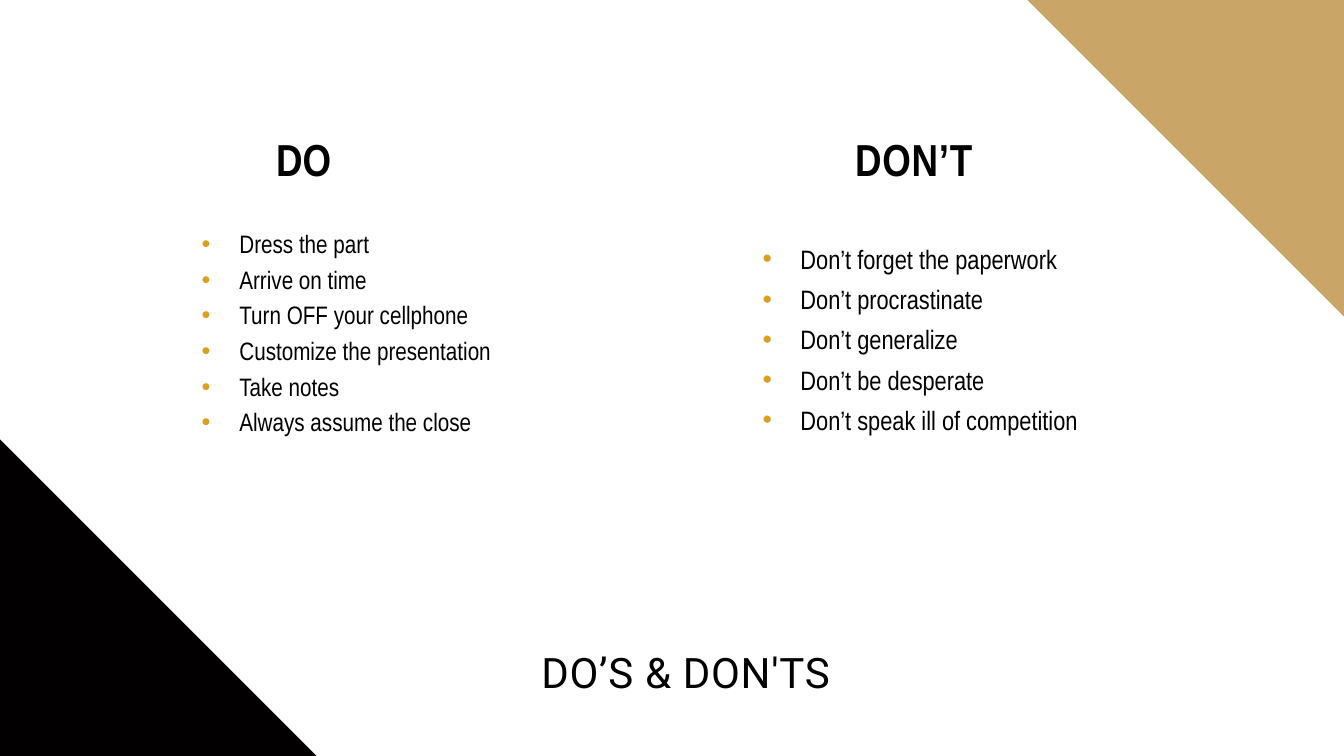
from pptx import Presentation
from pptx.dml.color import RGBColor
from pptx.enum.text import MSO_AUTO_SIZE, PP_ALIGN
from pptx.oxml.ns import qn
from pptx.util import Inches, Pt
from lxml.etree import SubElement

THEME = dict(
    black="000000", corner="020000", gold="C9A668", bullet="DC9E1F",
    body="Arial Narrow", title="Roboto",
    heading_size=32, title_size=30, do_size=18, dont_size=19,
)

prs = Presentation()
prs.slide_width, prs.slide_height = Inches(13.33), Inches(7.5)
s = prs.slides.add_slide(prs.slide_layouts[6])

# Grid of 160 columns by 90 rows
COLS, ROWS = 160, 90
COL, ROW = prs.slide_width / COLS, prs.slide_height / ROWS


def add_text(lines, x, y, w, h, size, font=THEME["body"], bold=False,
             align=PP_ALIGN.LEFT, tracking=0, indent=0, line_spacing=None):
    """Place lines in a box measured in grid units; an indent makes them bullets."""
    tb = s.shapes.add_textbox(int(x * COL), int(y * ROW), int(w * COL), int(h * ROW))
    tf = tb.text_frame
    tf.word_wrap = False
    tf.auto_size = MSO_AUTO_SIZE.SHAPE_TO_FIT_TEXT
    tf.margin_left = tf.margin_right = tf.margin_top = tf.margin_bottom = Inches(0.05)
    for i, line in enumerate(lines):
        p = tf.paragraphs[0] if i == 0 else tf.add_paragraph()
        p.alignment = align
        if line_spacing:
            p.line_spacing = line_spacing
        if indent:
            p.space_before = Pt(6)
            pPr = p._p.get_or_add_pPr()
            pPr.set("marL", str(int(indent * COL)))
            pPr.set("indent", str(-int(indent * COL)))
            color = SubElement(pPr, qn("a:buClr"))
            SubElement(color, qn("a:srgbClr"), val=THEME["bullet"])
            SubElement(pPr, qn("a:buFont"), typeface="Arial")
            SubElement(pPr, qn("a:buChar"), char="•")
        r = p.add_run()
        r.text = line
        r.font.name, r.font.size, r.font.bold = font, Pt(size), bold
        r.font.color.rgb = RGBColor.from_string(THEME["black"])
        if tracking:
            r._r.get_or_add_rPr().set("spc", str(int(tracking * 100)))


# Corner triangles
SIDE = 37.7
corners = [
    ([(0, ROWS), (SIDE, ROWS), (0, ROWS - SIDE)], THEME["corner"]),
    ([(COLS, 0), (COLS - SIDE, 0), (COLS, SIDE)], THEME["gold"]),
]
for points, color in corners:
    start, *rest = [(int(x * COL), int(y * ROW)) for x, y in points]
    fb = s.shapes.build_freeform(*start)
    fb.add_line_segments(rest, close=True)
    sp = fb.convert_to_shape()
    sp.shadow.inherit = False
    sp.fill.solid()
    sp.fill.fore_color.rgb = RGBColor.from_string(color)
    sp.line.fill.background()

# Headings
add_text(["DO"], 32.2, 15.1, 7.9, 7.3, THEME["heading_size"], bold=True,
         align=PP_ALIGN.CENTER)
add_text(["DON’T"], 101.2, 15.1, 15.4, 7.3, THEME["heading_size"], bold=True,
         tracking=0.5)

# Lists
add_text(["Dress the part", "Arrive on time", "Turn OFF your cellphone",
          "Customize the presentation", "Take notes", "Always assume the close"],
         23.4, 27, 35.8, 25.4, THEME["do_size"], indent=4.5, line_spacing=0.9)
add_text(["Don’t forget the paperwork", "Don’t procrastinate", "Don’t generalize",
          "Don’t be desperate", "Don’t speak ill of competition"],
         90.2, 28.3, 38.9, 23.5, THEME["dont_size"], indent=4.5)

# Title
add_text(["DO’S & DON'TS"], 59.8, 76.4, 43.7, 8, THEME["title_size"],
         font=THEME["title"], align=PP_ALIGN.CENTER, tracking=0.5)

prs.save("out.pptx")
